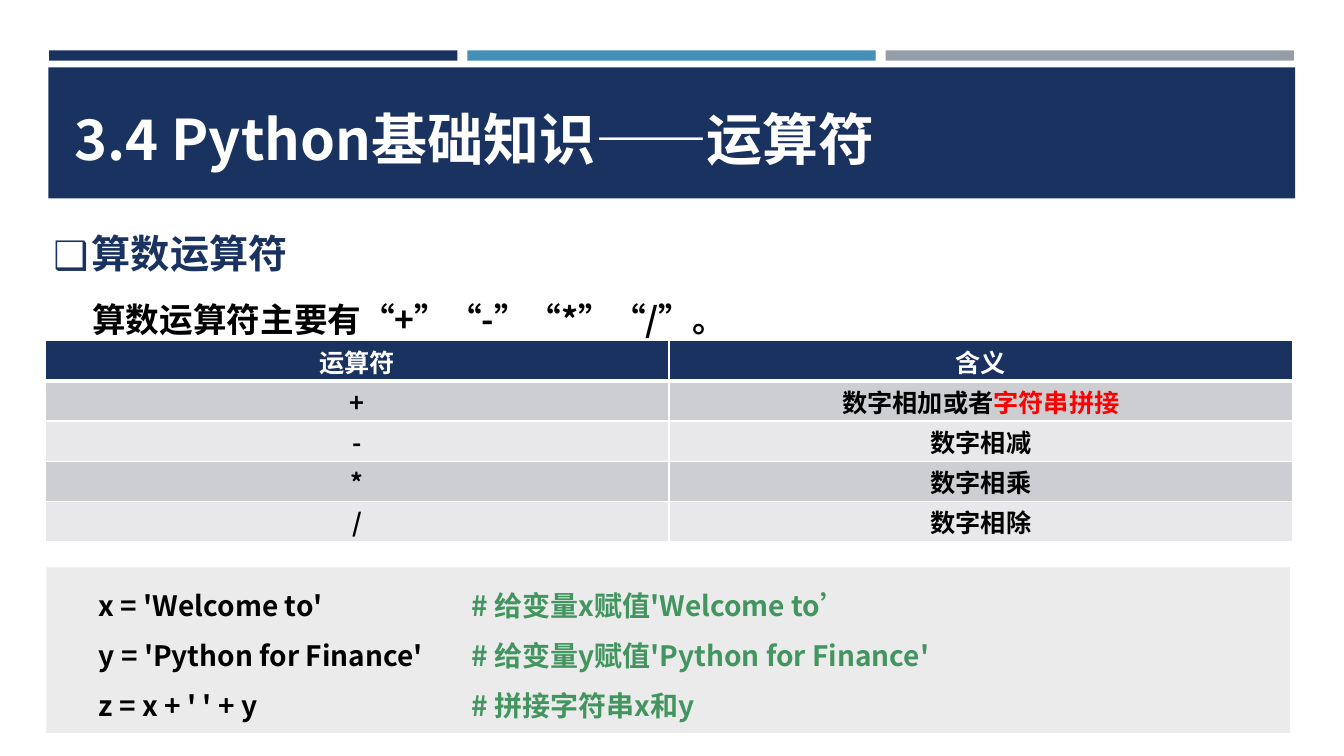
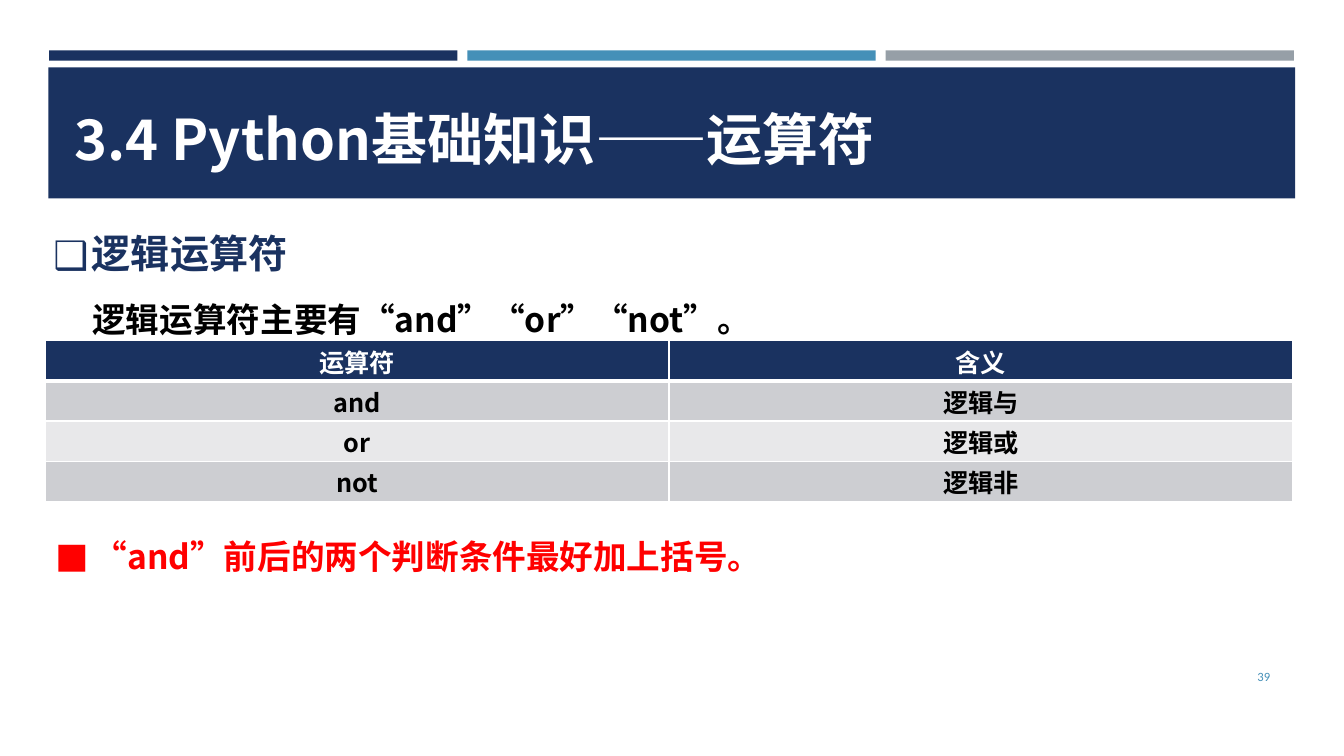
import pptx
import pptx.util
import pptx.dml.color
import pptx.enum.shapes
import pptx.enum.text
import pptx.oxml
import pptx.oxml.ns
from dataclasses import dataclass
from lxml import etree

Cm, Pt = pptx.util.Cm, pptx.util.Pt
ALIGN = pptx.enum.text.PP_ALIGN
ANCHOR = pptx.enum.text.MSO_ANCHOR
AUTO_SIZE = pptx.enum.text.MSO_AUTO_SIZE
qn = pptx.oxml.ns.qn


@dataclass(frozen=True)
class Theme:
    font: str = "Noto Sans CJK SC"
    number_font: str = "Calibri"
    navy: str = "1A3260"
    blue: str = "4590B8"
    gray: str = "969FA7"
    white: str = "FFFFFF"
    black: str = "000000"
    red: str = "FF0000"
    green: str = "42955F"
    panel: str = "EBEBEB"
    row_bands: tuple = ("CDCED2", "E8E8EA")
    title_size: int = 40
    heading_size: int = 28
    body_size: int = 24
    code_size: int = 20
    table_size: int = 18
    number_size: int = 9


THEME = Theme()

# Content
TITLE = "3.4 Python基础知识——运算符"
TABLE_HEADER = ("运算符", "含义")
# A cell is a string, or a pair of plain text and highlighted text
SLIDES = [
    {
        "heading": "算数运算符",
        "intro": "算数运算符主要有“+”“-”“*”“/”。",
        "operators": [
            ("+", ("数字相加或者", "字符串拼接")),
            ("-", "数字相减"),
            ("*", "数字相乘"),
            ("/", "数字相除"),
        ],
        "code": [
            ("x = 'Welcome to'", "# 给变量x赋值'Welcome to’"),
            ("y = 'Python for Finance'", "# 给变量y赋值'Python for Finance'"),
            ("z = x + ' ' + y", "# 拼接字符串x和y"),
        ],
    },
    {
        "heading": "逻辑运算符",
        "intro": "逻辑运算符主要有“and”“or”“not”。",
        "operators": [("and", "逻辑与"), ("or", "逻辑或"), ("not", "逻辑非")],
        "note": "“and”前后的两个判断条件最好加上括号。",
        "number": "39",
    },
]

# Places in centimetres: left, top, width, height
TITLE_BAND = (1.22, 1.7, 31.42, 3.3)
TITLE_PLACE = (1.63, 2.51, 30.8, 1.96)
HEADING_PLACE = (1.09, 5.05, 31.5, 1.83)
INTRO_PLACE = (2.08, 6.91, 30.28, 1.63)
CODE_PANEL = (1.17, 14.3, 31.34, 4.17)
CODE_PLACE = (2.24, 14.27, 9.3, 3.96)
COMMENT_PLACE = (11.63, 14.27, 15.11, 3.96)
NOTE_PLACE = (1.14, 12.88, 31.55, 1.63)
NUMBER_PLACE = (29.34, 16.54, 2.92, 1.02)
STRIPE_LEFT, STRIPE_TOP, STRIPE_WIDTH, STRIPE_HEIGHT = 1.24, 1.27, 10.29, 0.26
STRIPE_GAP = 0.25
TABLE_LEFT, TABLE_TOP, TABLE_WIDTH, ROW_HEIGHT = 1.14, 8.59, 31.44, 1.01
CELL_MARGIN = 0.05
BULLET_INDENT = 0.97


def rgb(color):
    return pptx.dml.color.RGBColor.from_string(color)


def cm_box(place):
    return [Cm(value) for value in place]


def move_to(placeholder, place):
    placeholder.left, placeholder.top, placeholder.width, placeholder.height = cm_box(place)


# Text
def set_bullet(paragraph, char):
    props = paragraph._p.get_or_add_pPr()
    props.set("marL", str(Cm(BULLET_INDENT)))
    props.set("indent", str(-Cm(BULLET_INDENT)))
    etree.SubElement(props, qn("a:buFont")).set("typeface", THEME.font)
    etree.SubElement(props, qn("a:buChar")).set("char", char)


def style(paragraph, size, color, bold=True, name=THEME.font, align=ALIGN.LEFT):
    paragraph.alignment = align
    font = paragraph.font
    font.size, font.bold, font.name = Pt(size), bold, name
    font.color.rgb = rgb(color)
    for latin in paragraph._p.iter(qn("a:latin")):
        east_asian = etree.Element(qn("a:ea"))
        east_asian.set("typeface", name)
        latin.addnext(east_asian)


def write_lines(frame, lines, size, color, bullet=None, spacing=1.5):
    frame.word_wrap = True
    frame.auto_size = AUTO_SIZE.SHAPE_TO_FIT_TEXT
    for index, line in enumerate(lines):
        paragraph = frame.paragraphs[0] if index == 0 else frame.add_paragraph()
        paragraph.text = line
        paragraph.space_before = Pt(0)
        if spacing:
            paragraph.line_spacing = spacing
        if bullet:
            set_bullet(paragraph, bullet)
        style(paragraph, size, color)


def add_lines(slide, place, lines, size, color, bullet=None):
    frame = slide.shapes.add_textbox(*cm_box(place)).text_frame
    write_lines(frame, lines, size, color, bullet)


# Shapes
def add_block(slide, place, color):
    block = slide.shapes.add_shape(pptx.enum.shapes.MSO_SHAPE.RECTANGLE, *cm_box(place))
    block.shadow.inherit = False
    block.fill.solid()
    block.fill.fore_color.rgb = rgb(color)
    block.line.fill.background()
    return block


def build_layout(layout, slide):
    """Give the layout its bands and the places of title and heading."""
    bands = [(TITLE_BAND, THEME.navy)]
    for column, color in enumerate((THEME.navy, THEME.blue, THEME.gray)):
        left = STRIPE_LEFT + column * (STRIPE_WIDTH + STRIPE_GAP)
        bands.append(((left, STRIPE_TOP, STRIPE_WIDTH, STRIPE_HEIGHT), color))
    for place, color in bands:
        layout.shapes.element.insert(2, add_block(slide, place, color).element)
    move_to(layout.placeholders[0], TITLE_PLACE)
    move_to(layout.placeholders[1], HEADING_PLACE)


# Table
def set_borders(cell, top, bottom):
    props = cell._tc.get_or_add_tcPr()
    widths = (("a:lnL", 1), ("a:lnR", 1), ("a:lnT", top), ("a:lnB", bottom))
    for index, (tag, width) in enumerate(widths):
        border = etree.Element(qn(tag))
        border.set("w", str(Pt(width)))
        fill = etree.SubElement(border, qn("a:solidFill"))
        etree.SubElement(fill, qn("a:srgbClr")).set("val", THEME.white)
        props.insert(index, border)


def fill_cell(cell, content, row):
    plain, marked = (content, "") if isinstance(content, str) else content
    header = row == 0
    cell.margin_top = cell.margin_bottom = Cm(CELL_MARGIN)
    cell.vertical_anchor = ANCHOR.MIDDLE
    cell.fill.solid()
    cell.fill.fore_color.rgb = rgb(THEME.navy if header else THEME.row_bands[(row - 1) % 2])
    set_borders(cell, top=3 if row == 1 else 1, bottom=3 if header else 1)
    paragraph = cell.text_frame.paragraphs[0]
    paragraph.add_run().text = plain
    style(paragraph, THEME.table_size, THEME.white if header else THEME.black,
          align=ALIGN.CENTER)
    if marked:
        highlight = paragraph.add_run()
        highlight.text = marked
        highlight.font.color.rgb = rgb(THEME.red)


def add_operator_table(slide, operators):
    rows = [TABLE_HEADER, *operators]
    place = (TABLE_LEFT, TABLE_TOP, TABLE_WIDTH, ROW_HEIGHT * len(rows))
    table = slide.shapes.add_table(len(rows), len(TABLE_HEADER), *cm_box(place)).table
    for row, contents in enumerate(rows):
        table.rows[row].height = Cm(ROW_HEIGHT)
        for column, content in enumerate(contents):
            fill_cell(table.cell(row, column), content, row)


# Slide parts
def add_code(slide, code):
    add_block(slide, CODE_PANEL, THEME.panel)
    statements, comments = zip(*code)
    add_lines(slide, CODE_PLACE, statements, THEME.code_size, THEME.black)
    add_lines(slide, COMMENT_PLACE, comments, THEME.code_size, THEME.green)


def add_number(slide, number):
    frame = slide.shapes.add_textbox(*cm_box(NUMBER_PLACE)).text_frame
    frame.word_wrap = True
    frame.vertical_anchor = ANCHOR.MIDDLE
    frame.text = number
    style(frame.paragraphs[0], THEME.number_size, THEME.blue, bold=False,
          name=THEME.number_font, align=ALIGN.RIGHT)


def fill_slide(slide, content):
    title = slide.shapes.title.text_frame
    write_lines(title, [TITLE], THEME.title_size, THEME.white, spacing=None)
    title.vertical_anchor = ANCHOR.MIDDLE
    heading = slide.placeholders[1].text_frame
    write_lines(heading, [content["heading"]], THEME.heading_size, THEME.navy, "❑")
    add_lines(slide, INTRO_PLACE, [content["intro"]], THEME.body_size, THEME.black)
    add_operator_table(slide, content["operators"])
    if "code" in content:
        add_code(slide, content["code"])
    if "note" in content:
        add_lines(slide, NOTE_PLACE, [content["note"]], THEME.body_size, THEME.red, "■")
    if "number" in content:
        add_number(slide, content["number"])


def main():
    deck = pptx.Presentation()
    deck.slide_width, deck.slide_height = Cm(33.87), Cm(19.05)
    layout = deck.slide_layouts[1]
    slides = [deck.slides.add_slide(layout) for _ in SLIDES]
    build_layout(layout, slides[0])
    for slide, content in zip(slides, SLIDES):
        fill_slide(slide, content)
    deck.save("out.pptx")


if __name__ == "__main__":
    main()
